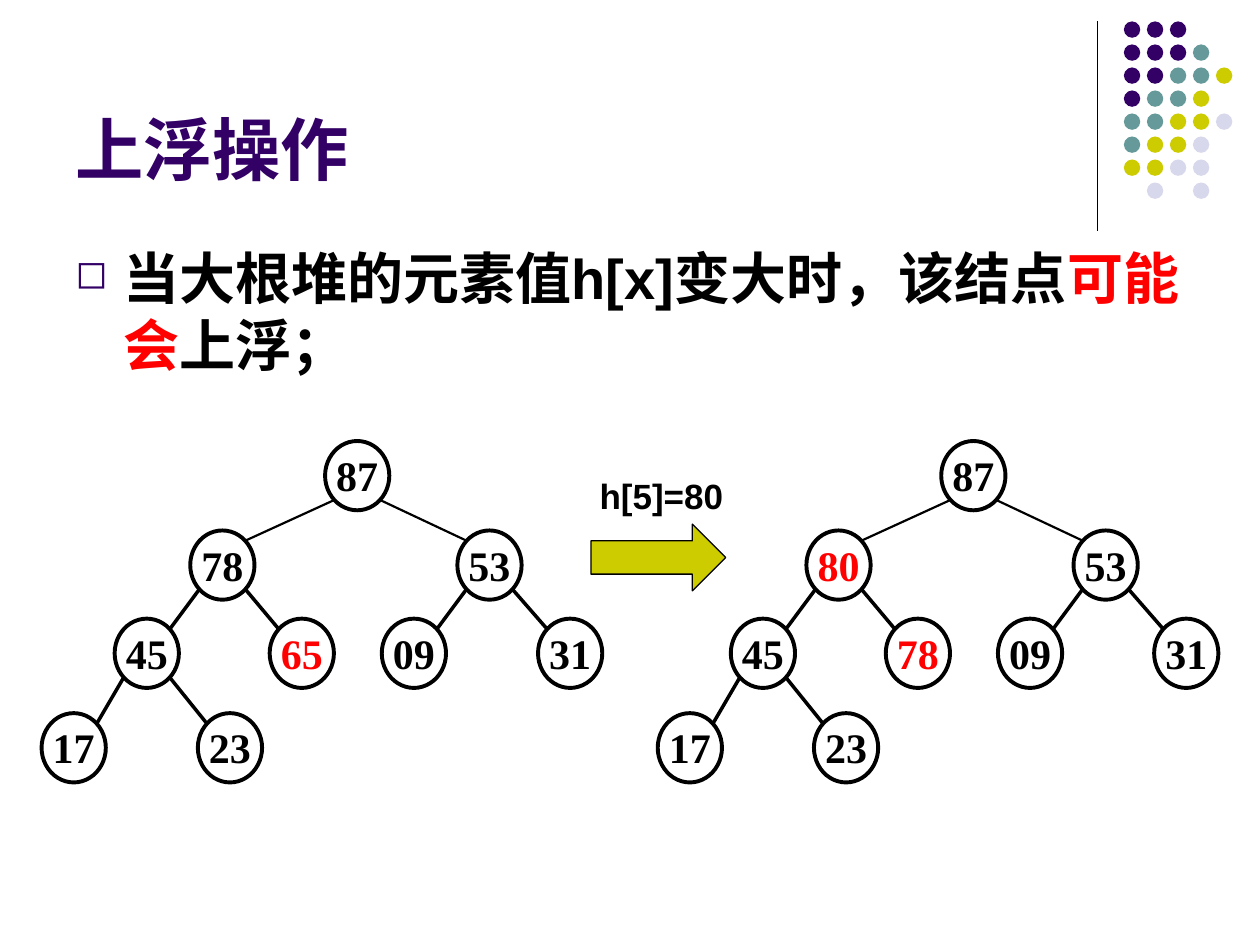
from lxml import etree
from pptx import Presentation
from pptx import util as u
from pptx.dml.color import RGBColor
from pptx.enum import shapes, text
from pptx.oxml.ns import qn

BLACK = RGBColor(0x00, 0x00, 0x00)
RED = RGBColor(0xFF, 0x00, 0x00)
PURPLE = RGBColor(0x33, 0x00, 0x66)
TEAL = RGBColor(0x66, 0x99, 0x99)
OLIVE = RGBColor(0xCC, 0xCC, 0x00)
LILAC = RGBColor(0xD8, 0xD8, 0xEC)

HEADING = "上浮操作"
STATEMENT = [("当大根堆的元素值h[x]变大时，该结点", BLACK), ("可能会", RED), ("上浮；", BLACK)]
CHANGE = "h[5]=80"
HEAPS = [
    (0, ["87", "78", "53", "45", "65", "09", "31", "17", "23"], {4}),
    (4.89, ["87", "80", "53", "45", "78", "09", "31", "17", "23"], {1, 4}),
]
NODE_LEFTS = [2.58, 1.51, 3.63, 0.91, 2.14, 3.03, 4.27, 0.33, 1.57]
LEVEL_TOPS = [3.5, 4.21, 4.91, 5.66]
NODE_W, NODE_H = 0.51, 0.55
EDGE_X, EDGE_Y = 0.07, 0.08

DOT_ROWS = ["PPP", "PPPT", "PPTTO", "PTTO", "TTOOL", "TOOL", "OOLL", " L L"]
DOT_COLOURS = {"P": PURPLE, "T": TEAL, "O": OLIVE, "L": LILAC}
DOT_LEFT, DOT_TOP, DOT_PITCH, DOT_SIZE = 8.92, 0.17, 0.18, 0.13


def box(*lengths):
    """Convert lengths in inches to slide units."""
    return [u.Inches(length) for length in lengths]


def style(run, size, colour, face="Arial"):
    """Format a bold run."""
    run.font.name, run.font.size, run.font.bold = face, u.Pt(size), True
    run.font.color.rgb = colour


def add_line(slide, start, end, width):
    """Draw a black line without a shadow."""
    line = slide.shapes.add_connector(shapes.MSO_CONNECTOR.STRAIGHT, *box(*start, *end))
    line.line.color.rgb, line.line.width = BLACK, u.Pt(width)
    etree.SubElement(line._element.spPr, qn("a:effectLst"))


def add_figure(slide, kind, place, fill=None, width=None):
    """Draw a preset shape with an optional fill and outline."""
    figure = slide.shapes.add_shape(kind, *box(*place))
    figure.shadow.inherit = False
    if fill is None:
        figure.fill.background()
    else:
        figure.fill.solid()
        figure.fill.fore_color.rgb = fill
    if width is None:
        figure.line.fill.background()
    else:
        figure.line.color.rgb, figure.line.width = BLACK, u.Pt(width)
    return figure


def add_ornament(slide):
    """Draw the corner rule and its triangle of dots."""
    add_line(slide, (8.71, 0.17), (8.71, 1.83), 0.75)
    for row, dots in enumerate(DOT_ROWS):
        for column, key in enumerate(dots):
            if key in DOT_COLOURS:
                place = (DOT_LEFT + column * DOT_PITCH * 1.015, DOT_TOP + row * DOT_PITCH * 1.015,
                         DOT_SIZE, DOT_SIZE)
                add_figure(slide, shapes.MSO_SHAPE.OVAL, place, DOT_COLOURS[key])


def add_heading(slide):
    """Fill and place the title."""
    heading = slide.shapes.title
    heading.left, heading.top, heading.width, heading.height = box(0.5, 0.13, 8.25, 1.42)
    frame = heading.text_frame
    frame.text = HEADING
    frame.vertical_anchor = text.MSO_ANCHOR.BOTTOM
    frame.paragraphs[0].alignment = text.PP_ALIGN.LEFT
    style(frame.paragraphs[0].runs[0], 39, PURPLE)


def add_statement(slide):
    """Write the bulleted statement."""
    frame = slide.shapes.add_textbox(*box(0.5, 1.88, 9, 4.82)).text_frame
    frame.word_wrap = True
    paragraph = frame.paragraphs[0]
    props = paragraph._p.get_or_add_pPr()
    props.set("marL", str(u.Inches(0.38)))
    props.set("indent", str(u.Inches(-0.38)))
    colour = etree.SubElement(props, qn("a:buClr"))
    etree.SubElement(colour, qn("a:srgbClr"), val=str(PURPLE))
    etree.SubElement(props, qn("a:buSzPct"), val="70000")
    etree.SubElement(props, qn("a:buChar"), char="◻")
    for words, shade in STATEMENT:
        run = paragraph.add_run()
        run.text = words
        style(run, 32, shade)


def add_change(slide):
    """Draw the labelled arrow between the heaps."""
    add_figure(slide, shapes.MSO_SHAPE.RIGHT_ARROW, (4.69, 4.16, 1.07, 0.53), OLIVE, 0.75)
    frame = slide.shapes.add_textbox(*box(4.66, 3.72, 1.21, 0.44)).text_frame
    frame.text = CHANGE
    style(frame.paragraphs[0].runs[0], 20, BLACK)


def add_heap(slide, offset, keys, changed):
    """Draw a binary heap whose keys are listed level by level."""
    spots = [(offset + left, LEVEL_TOPS[(index + 1).bit_length() - 1])
             for index, left in enumerate(NODE_LEFTS)]
    for index, (key, (left, top)) in enumerate(zip(keys, spots)):
        node = add_figure(slide, shapes.MSO_SHAPE.OVAL, (left, top, NODE_W, NODE_H), width=2.25)
        frame = node.text_frame
        frame.margin_left = frame.margin_right = frame.margin_top = frame.margin_bottom = 0
        frame.vertical_anchor = text.MSO_ANCHOR.MIDDLE
        frame.word_wrap = False
        frame.text = key
        paragraph = frame.paragraphs[0]
        paragraph.alignment, paragraph.line_spacing = text.PP_ALIGN.CENTER, u.Pt(28)
        style(paragraph.runs[0], 24, RED if index in changed else BLACK, "Times New Roman")
        if index:
            parent_left, parent_top = spots[(index - 1) // 2]
            near, far = EDGE_X, NODE_W - EDGE_X
            leave, arrive = (near, far) if index % 2 else (far, near)
            add_line(slide, (parent_left + leave, parent_top + NODE_H - EDGE_Y),
                     (left + arrive, top + EDGE_Y), 1.25 if index < 3 else 2)


def main():
    """Build the heap slide."""
    deck = Presentation()
    deck.slide_width, deck.slide_height = box(10, 7.5)
    slide = deck.slides.add_slide(deck.slide_layouts[5])
    add_ornament(slide)
    add_heading(slide)
    add_statement(slide)
    add_change(slide)
    for heap in HEAPS:
        add_heap(slide, *heap)
    deck.save("out.pptx")


if __name__ == "__main__":
    main()
